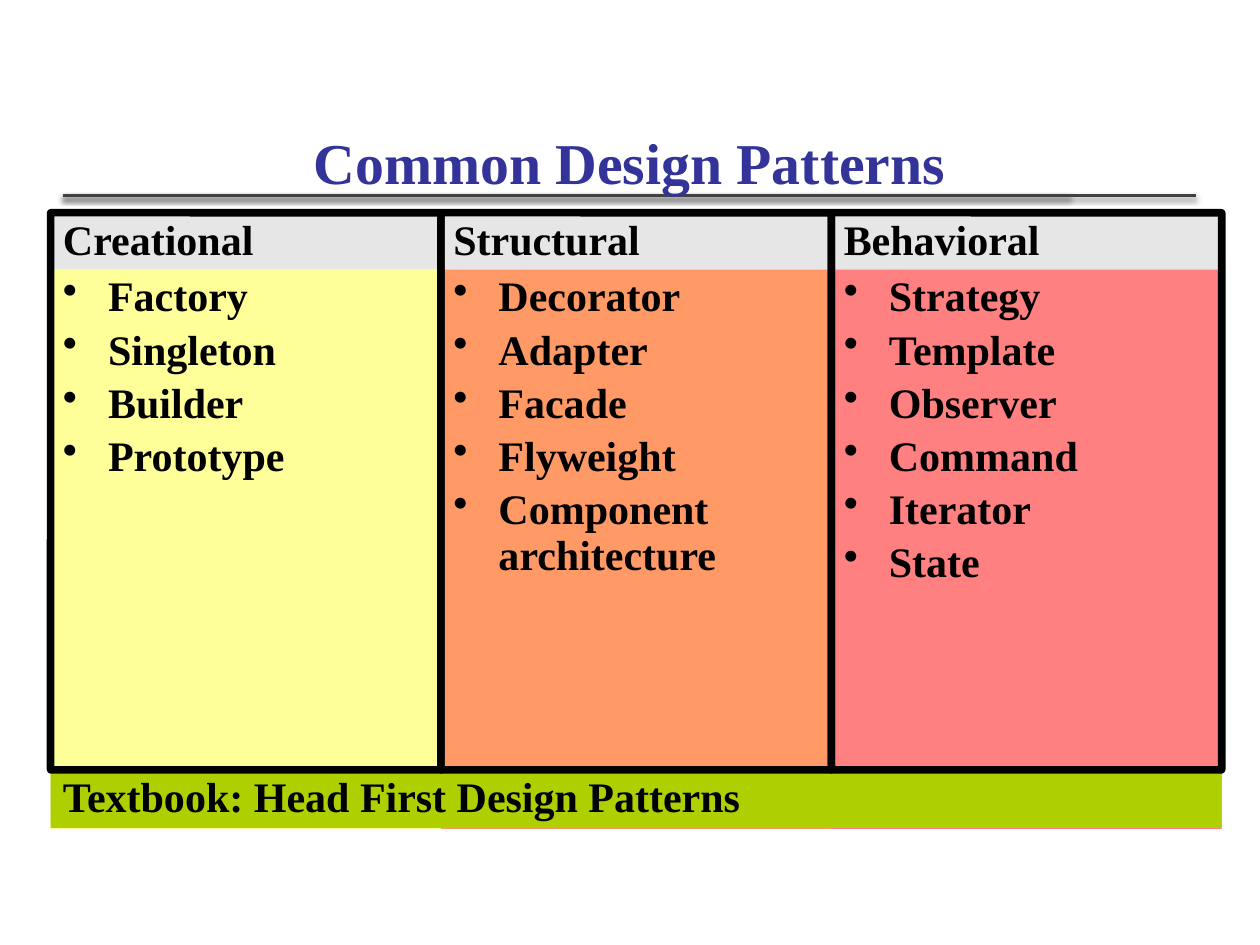
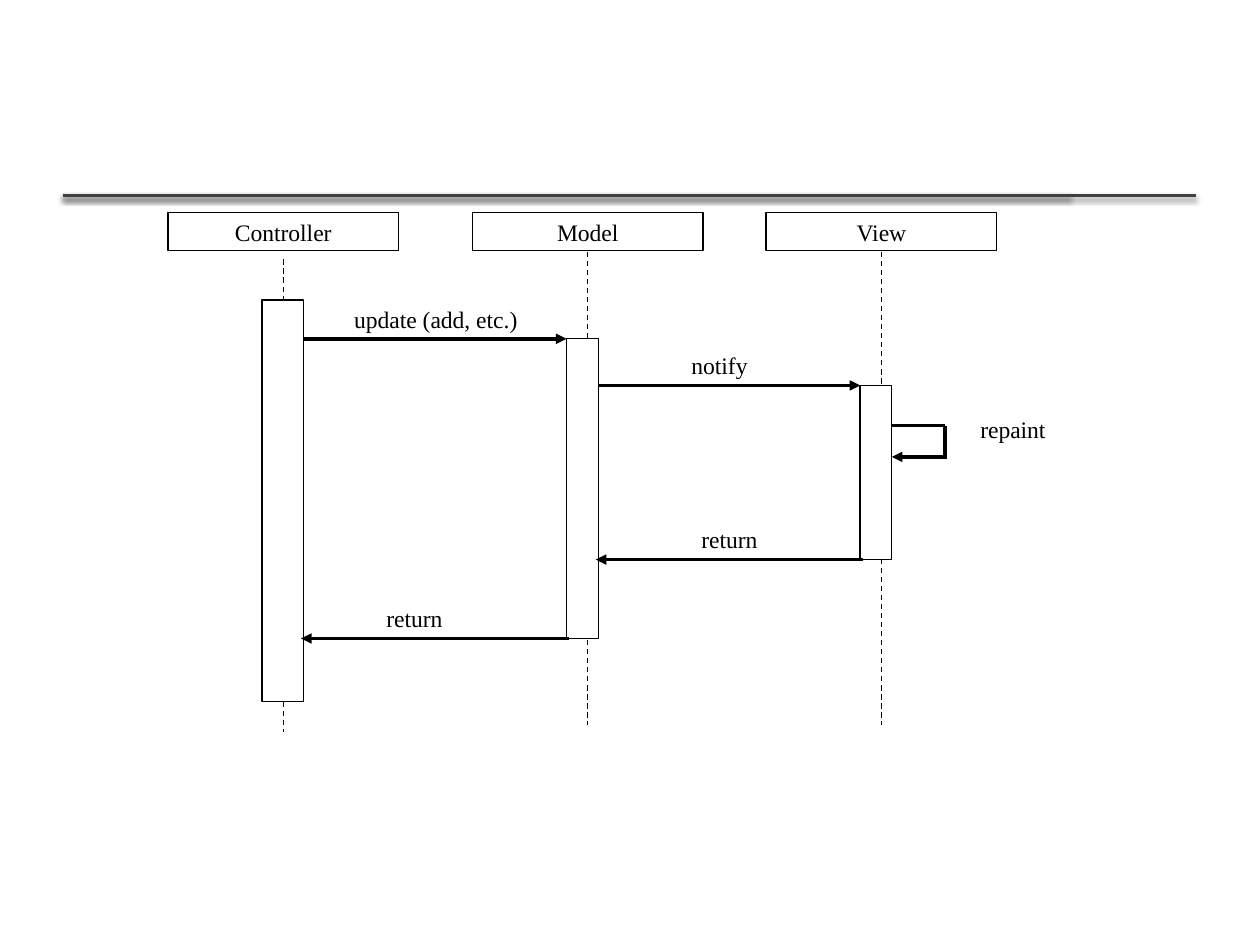
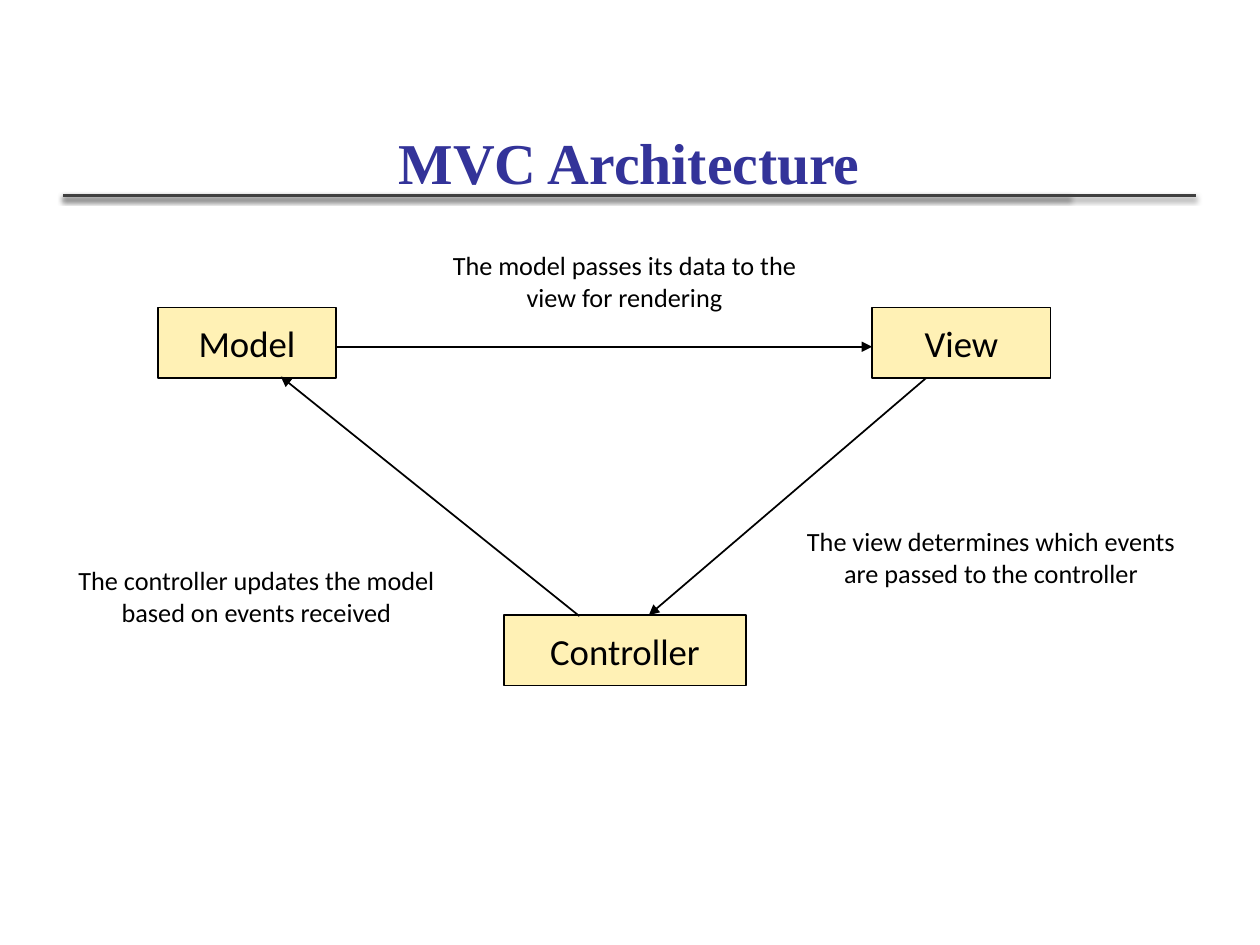
import lxml.etree
import pptx
import pptx.dml.color
import pptx.enum.dml
import pptx.enum.shapes
import pptx.enum.text
import pptx.oxml.ns
import pptx.util
from dataclasses import dataclass

Cm, Pt = pptx.util.Cm, pptx.util.Pt
RGB = pptx.dml.color.RGBColor.from_string
qn = pptx.oxml.ns.qn
SHAPE = pptx.enum.shapes.MSO_SHAPE
ALIGN = pptx.enum.text.PP_ALIGN
ANCHOR = pptx.enum.text.MSO_ANCHOR
FIT = pptx.enum.text.MSO_AUTO_SIZE


# Content: lengths in centimetres
PATTERNS_TITLE = "Common Design Patterns"
PATTERN_FAMILIES = [
    ("Creational", "FFFF99", ["Factory", "Singleton", "Builder", "Prototype"]),
    ("Structural", "FF9966", ["Decorator", "Adapter", "Facade", "Flyweight",
                              "Component architecture"]),
    ("Behavioral", "FF8080", ["Strategy", "Template", "Observer", "Command",
                              "Iterator", "State"]),
]
TEXTBOOK = "Textbook: Head First Design Patterns"

# Participant: lifeline x, lifeline top, activation width, top, bottom
PARTICIPANTS = {
    "Controller": (5.71, 5.23, 0.84, 6.05, 14.15),
    "Model": (11.85, 5.08, 0.64, 6.83, 12.87),
    "View": (17.77, 5.08, 0.64, 7.77, 11.28),
}
# Message: text, sender, receiver, label left, label width
MESSAGES = [
    ("update (add, etc.)", "Controller", "Model", 6.78, 4.01),
    ("notify", "Model", "View", 12.7, 3.61),
    ("return", "View", "Model", 12.9, 3.61),
    ("return", "Model", "Controller", 6.55, 3.61),
]
SELF_MESSAGE = "repaint"

MVC_TITLE = "MVC Architecture"
# Component: left, top, width
COMPONENTS = {
    "Model": (3.18, 6.2, 3.6),
    "View": (17.58, 6.2, 3.6),
    "Controller": (10.16, 12.4, 4.88),
}
# Note: text, left, top, height
FLOW_NOTES = [
    ("The model passes its data to the view for rendering", 8.69, 4.93, 1.47),
    ("The view determines which events are passed to the controller", 16.08, 10.49, 2.11),
    ("The controller updates the model based on events received", 1.27, 11.28, 1.47),
]
FLOWS = [
    ((6.78, 6.99), (17.58, 6.99)),
    ((18.67, 7.62), (13.08, 12.4)),
    ((11.68, 12.42), (5.66, 7.59)),
]


@dataclass(frozen=True)
class Theme:
    serif: str = "Times New Roman"
    sans: str = "Calibri"
    ink: str = "000000"
    paper: str = "FFFFFF"
    title: str = "333399"
    rule: str = "404040"
    header: str = "E6E6E6"
    textbook: str = "AECF00"
    component: str = "FFF1B5"
    title_size: float = 33
    pattern_size: float = 24
    component_size: float = 21
    note_size: float = 15
    message_size: float = 13.5
    frame_line: float = 4.31
    arrow_line: float = 2
    flow_line: float = 1
    thin_line: float = 0.75


THEME = Theme()
TITLE_FONT = dict(name=THEME.serif, size=Pt(THEME.title_size), bold=True)
PATTERN_FONT = dict(name=THEME.serif, size=Pt(THEME.pattern_size), bold=True)
MESSAGE_FONT = dict(name=THEME.serif, size=Pt(THEME.message_size))
COMPONENT_FONT = dict(name=THEME.sans, size=Pt(THEME.component_size))
NOTE_FONT = dict(name=THEME.sans, size=Pt(THEME.note_size))

PATTERN_FRAME = dict(word_wrap=True, vertical_anchor=ANCHOR.TOP)
TIGHT = dict(margin_left=Cm(0.18), margin_right=Cm(0.18),
             margin_top=Cm(0.1), margin_bottom=Cm(0.1))
LABEL_FRAME = dict(TIGHT, word_wrap=True, vertical_anchor=ANCHOR.TOP,
                   auto_size=FIT.SHAPE_TO_FIT_TEXT)
COMPONENT_FRAME = dict(TIGHT, word_wrap=False, vertical_anchor=ANCHOR.MIDDLE)
CENTRED = dict(alignment=ALIGN.CENTER)
PATTERN_PARAGRAPH = dict(alignment=ALIGN.LEFT, line_spacing=0.9)


def apply(target, formats):
    for attribute, value in formats.items():
        setattr(target, attribute, value)


def write(shape, lines, font, frame, paragraph_format, color=THEME.ink,
          bullets=False, gap=0):
    text_frame = shape.text_frame
    apply(text_frame, frame)
    for index, line in enumerate(lines):
        paragraph = text_frame.add_paragraph() if index else text_frame.paragraphs[0]
        if bullets:
            properties = paragraph._p.get_or_add_pPr()
            properties.set("marL", str(Cm(0.91)))
            properties.set("indent", str(-Cm(0.91)))
            lxml.etree.SubElement(properties, qn("a:buChar"), char="•")
        apply(paragraph, paragraph_format)
        if index:
            paragraph.space_before = Pt(gap)
        run = paragraph.add_run()
        run.text = line
        apply(run.font, font)
        run.font.color.rgb = RGB(color)


def add_box(slide, left, top, width, height, fill=None, line=None, kind=SHAPE.RECTANGLE):
    box = slide.shapes.add_shape(kind, Cm(left), Cm(top), Cm(width), Cm(height))
    box.shadow.inherit = False
    if fill:
        box.fill.solid()
        box.fill.fore_color.rgb = RGB(fill)
    else:
        box.fill.background()
    if line:
        box.line.color.rgb = RGB(THEME.ink)
        box.line.width = Pt(line)
    else:
        box.line.fill.background()
    return box


def add_label(slide, text, left, top, width, height, font, frame=LABEL_FRAME,
              color=THEME.ink):
    label = slide.shapes.add_textbox(Cm(left), Cm(top), Cm(width), Cm(height))
    write(label, [text], font, frame, CENTRED, color)


def add_line(slide, start, end, width, color=THEME.ink, dashed=False, arrow=False,
             shadow=False):
    line = slide.shapes.add_connector(pptx.enum.shapes.MSO_CONNECTOR.STRAIGHT,
                                      *(Cm(value) for value in (*start, *end)))
    line.line.color.rgb = RGB(color)
    line.line.width = Pt(width)
    if dashed:
        line.line.dash_style = pptx.enum.dml.MSO_LINE.DASH
    properties = line.element.spPr
    if arrow:
        lxml.etree.SubElement(properties.find(qn("a:ln")), qn("a:tailEnd"), type="triangle")
    effects = lxml.etree.SubElement(properties, qn("a:effectLst"))
    if shadow:
        cast = lxml.etree.SubElement(effects, qn("a:outerShdw"), blurRad=str(Pt(3.1)),
                                     dist=str(Pt(1.6)), dir="5400000", rotWithShape="0")
        tint = lxml.etree.SubElement(cast, qn("a:srgbClr"), val=THEME.ink)
        lxml.etree.SubElement(tint, qn("a:alpha"), val="38000")


def add_slide(deck, title=None):
    """Blank slide with the double rule and, if given, a title."""
    slide = deck.slides.add_slide(deck.slide_layouts[6])
    for rule_end in (21.56, 24.1):
        add_line(slide, (1.27, 3.94), (rule_end, 3.94), 2, THEME.rule, shadow=True)
    if title:
        add_label(slide, title, 0.84, 2.46, 23.7, 1.57, TITLE_FONT,
                  dict(word_wrap=True, vertical_anchor=ANCHOR.MIDDLE), THEME.title)
    return slide


def build_patterns(deck):
    slide = add_slide(deck, PATTERNS_TITLE)
    left, top, width = 1.02, 4.29, 7.87
    header_height, frame_height, body_height = 1.14, 11.23, 11.28
    columns = [(left + index * width, *family)
               for index, family in enumerate(PATTERN_FAMILIES)]

    # Pattern lists
    for x, _, fill, patterns in columns:
        body = add_box(slide, x, top + header_height, width, body_height, fill)
        write(body, patterns, PATTERN_FONT, PATTERN_FRAME, PATTERN_PARAGRAPH,
              bullets=True, gap=4.5)

    # Textbook band
    band = add_box(slide, left, top + frame_height, 3 * width, 1.17, THEME.textbook)
    write(band, [TEXTBOOK], PATTERN_FONT, PATTERN_FRAME, PATTERN_PARAGRAPH)

    # Column headers, then frames on top
    for x, family, *_ in columns:
        header = add_box(slide, x, top, width, header_height, THEME.header)
        write(header, [family], PATTERN_FONT, PATTERN_FRAME, PATTERN_PARAGRAPH)
    for x, *_ in columns:
        frame = add_box(slide, x, top, width, frame_height, line=THEME.frame_line,
                        kind=SHAPE.ROUNDED_RECTANGLE)
        frame.adjustments[0] = 0.001


def build_sequence(deck):
    slide = add_slide(deck)
    head_width, label_height, bar_offset, overlap = 4.65, 0.76, 0.43, 0.05

    # Participants, lifelines and activation bars
    bars = {}
    for name, (axis, line_top, width, bar_top, bar_bottom) in PARTICIPANTS.items():
        head = add_box(slide, axis - head_width / 2, 4.29, head_width, label_height,
                       line=THEME.thin_line)
        write(head, [name], MESSAGE_FONT, LABEL_FRAME, CENTRED)
        add_line(slide, (axis, line_top), (axis, line_top + 9.53), THEME.thin_line,
                 dashed=True)
        bar_left = axis - bar_offset
        add_box(slide, bar_left, bar_top, width, bar_bottom - bar_top,
                THEME.paper, THEME.thin_line)
        bars[name] = (bar_left, bar_left + width, bar_top, bar_bottom)

    # Calls start the receiver's bar, returns end the sender's bar
    for text, sender, receiver, label_left, label_width in MESSAGES:
        source, target = bars[sender], bars[receiver]
        if source[0] < target[0]:
            start_x, end_x, y = source[1], target[0], target[2]
        else:
            start_x, end_x, y = source[0] + overlap, target[1] - overlap, source[3]
        add_line(slide, (start_x, y), (end_x, y), THEME.arrow_line, arrow=True)
        add_label(slide, text, label_left, y - 0.79, label_width, label_height, MESSAGE_FONT)

    # Message from the view to itself
    edge, loop_x, loop_top, loop_bottom = bars["View"][1], 19.05, 8.58, 9.21
    add_line(slide, (edge, loop_top), (loop_x, loop_top), THEME.arrow_line)
    add_line(slide, (loop_x, loop_top), (loop_x, loop_bottom), THEME.arrow_line)
    add_line(slide, (loop_x + overlap, loop_bottom), (edge, loop_bottom),
             THEME.arrow_line, arrow=True)
    add_label(slide, SELF_MESSAGE, loop_x, 8.26, 2.74, label_height, MESSAGE_FONT)


def build_mvc(deck):
    slide = add_slide(deck, MVC_TITLE)
    for name, (left, top, width) in COMPONENTS.items():
        component = add_box(slide, left, top, width, 1.42, THEME.component, THEME.flow_line)
        write(component, [name], COMPONENT_FONT, COMPONENT_FRAME, CENTRED)
    for text, left, top, height in FLOW_NOTES:
        add_label(slide, text, left, top, 7.8, height, NOTE_FONT)
    for start, end in FLOWS:
        add_line(slide, start, end, THEME.flow_line, arrow=True)


def main():
    deck = pptx.Presentation()
    deck.slide_width, deck.slide_height = Cm(25.4), Cm(19.05)
    for build in (build_patterns, build_sequence, build_mvc):
        build(deck)
    deck.save("out.pptx")


if __name__ == "__main__":
    main()
